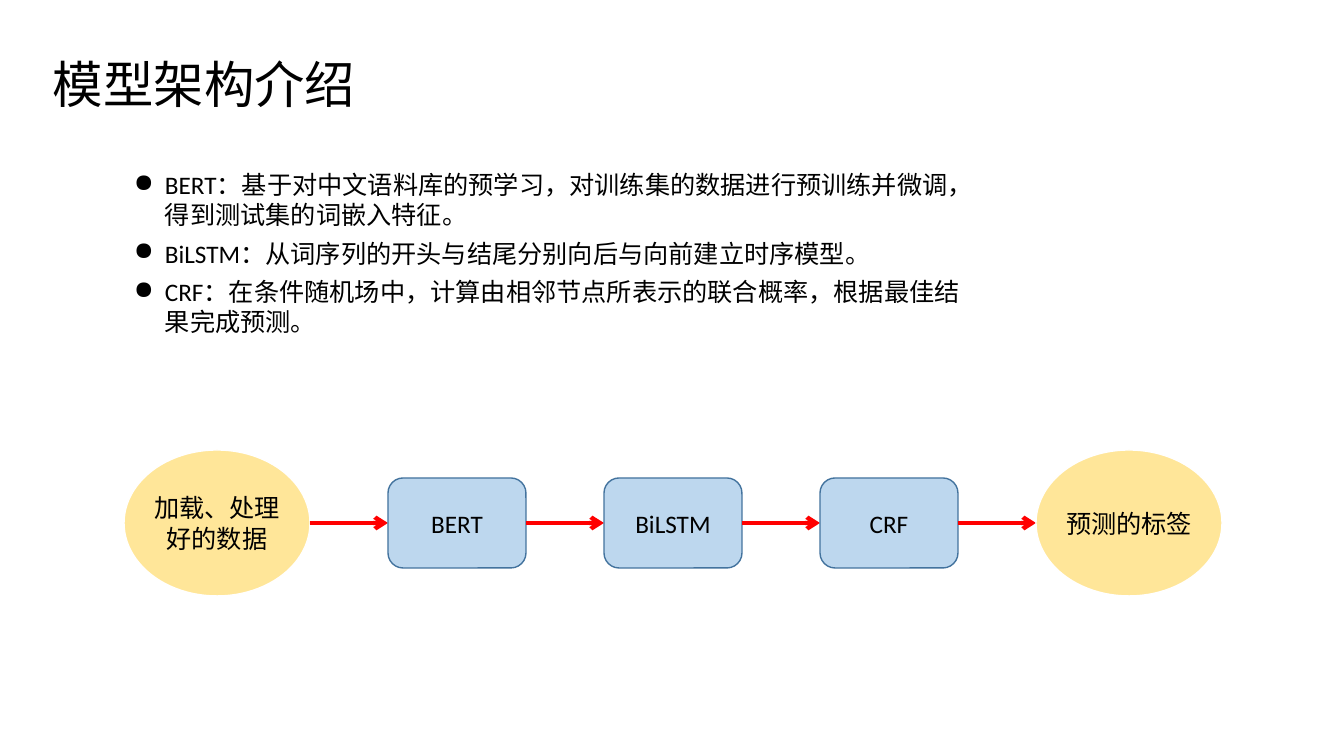
import pptx
import pptx.util
import pptx.dml.color
import pptx.enum.shapes
import pptx.enum.text
import pptx.oxml.ns
import lxml.etree

PIXEL = 12192000 / 1344
FLOW_GAP = 78
FLOW_MIDDLE = 523
ELLIPSE = pptx.enum.shapes.MSO_SHAPE.OVAL
BOX = pptx.enum.shapes.MSO_SHAPE.ROUNDED_RECTANGLE
ANCHOR = pptx.enum.text.MSO_ANCHOR
ALIGN = pptx.enum.text.PP_ALIGN


def color(hex_string):
    """Turn a hex string into a colour."""
    return pptx.dml.color.RGBColor.from_string(hex_string)


def write(shape, lines, size, anchor, paragraph_format):
    """Fill a shape with paragraphs and return the paragraphs."""
    frame = shape.text_frame
    frame.word_wrap = True
    frame.vertical_anchor = anchor
    frame.text = "\n".join(lines)
    for paragraph in frame.paragraphs:
        for name, value in paragraph_format.items():
            setattr(paragraph, name, value)
        font = paragraph.runs[0].font
        font.name = "Calibri"
        font.size = pptx.util.Pt(size)
        font.color.rgb = color("000000")
    return frame.paragraphs


presentation = pptx.Presentation()
presentation.slide_width = round(1344 * PIXEL)
presentation.slide_height = round(756 * PIXEL)
slide = presentation.slides.add_slide(presentation.slide_layouts[6])

# Title
title = slide.shapes.add_textbox(*[round(n * PIXEL) for n in (43, 42, 410, 90)])
write(title, ["模型架构介绍"], 36, ANCHOR.MIDDLE, {"line_spacing": 0.9})

# Model descriptions
descriptions = [
    "BERT：基于对中文语料库的预学习，对训练集的数据进行预训练并微调，得到测试集的词嵌入特征。",
    "BiLSTM：从词序列的开头与结尾分别向后与向前建立时序模型。",
    "CRF：在条件随机场中，计算由相邻节点所表示的联合概率，根据最佳结果完成预测。",
]
body = slide.shapes.add_textbox(*[round(n * PIXEL) for n in (124, 164, 857, 179)])
indent = round(31 * PIXEL)
for paragraph in write(body, descriptions, 18, ANCHOR.TOP, {"space_after": pptx.util.Pt(6)}):
    properties = paragraph._p.get_or_add_pPr()
    properties.set("marL", str(indent))
    properties.set("indent", str(-indent))
    bullet = lxml.etree.SubElement(properties, pptx.oxml.ns.qn("a:buChar"))
    bullet.set("char", "●")

# Flow: every step follows the one before it after one arrow's length
ellipse_style = (ELLIPSE, 186, 146, "FFE699", "FFFFFF")
box_style = (BOX, 138, 90, "BDD7EE", "43739E")
steps = [
    ("加载、处理好的数据", ellipse_style),
    ("BERT", box_style),
    ("BiLSTM", box_style),
    ("CRF", box_style),
    ("预测的标签", ellipse_style),
]
left = 124
for index, (label, (kind, width, height, fill, outline)) in enumerate(steps):
    if index > 0:
        arrow = slide.shapes.add_connector(
            pptx.enum.shapes.MSO_CONNECTOR.STRAIGHT,
            *[round(n * PIXEL) for n in (left - FLOW_GAP, FLOW_MIDDLE, left, FLOW_MIDDLE)])
        arrow.line.color.rgb = color("FF0000")
        arrow.line.width = pptx.util.Pt(3)
        head = lxml.etree.SubElement(arrow.line._get_or_add_ln(), pptx.oxml.ns.qn("a:tailEnd"))
        head.set("type", "arrow")
        lxml.etree.SubElement(arrow._element.spPr, pptx.oxml.ns.qn("a:effectLst"))

    bounds = (left, FLOW_MIDDLE - height // 2, width, height)
    step = slide.shapes.add_shape(kind, *[round(n * PIXEL) for n in bounds])
    step.shadow.inherit = False
    step.fill.solid()
    step.fill.fore_color.rgb = color(fill)
    step.line.color.rgb = color(outline)
    step.line.width = pptx.util.Pt(1)
    for margin in ("margin_left", "margin_right", "margin_top", "margin_bottom"):
        setattr(step.text_frame, margin, 0)
    write(step, [label], 18, ANCHOR.MIDDLE, {"alignment": ALIGN.CENTER})
    left += width + FLOW_GAP

presentation.save("out.pptx")
